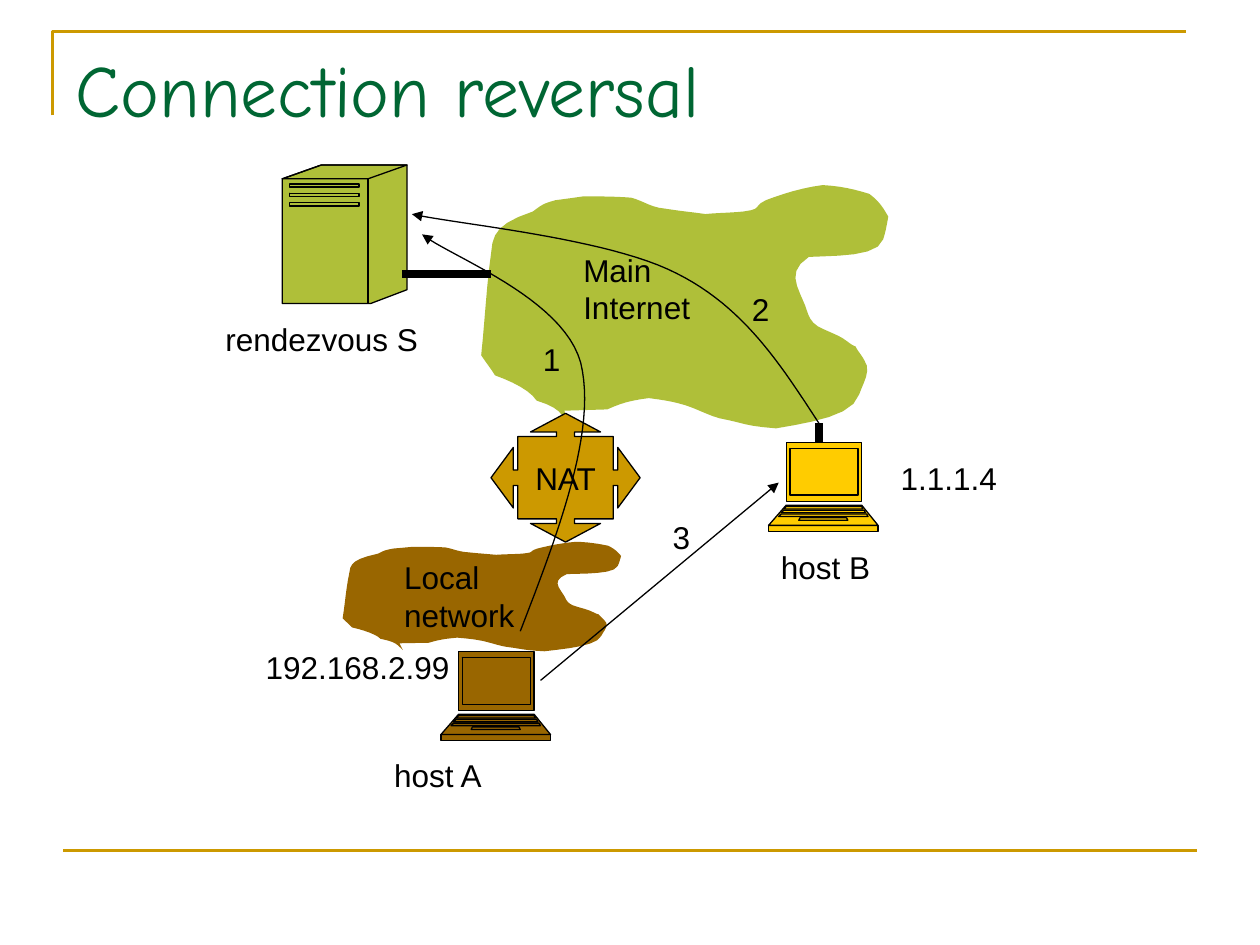
import pptx
import pptx.dml.color
import pptx.enum.shapes
import pptx.enum.text
import pptx.oxml
import pptx.oxml.ns
import pptx.util

Pt = pptx.util.Pt
RGBColor = pptx.dml.color.RGBColor
BLACK = RGBColor(0x00, 0x00, 0x00)
GOLD = RGBColor(0xCC, 0x99, 0x00)
GREEN = RGBColor(0x00, 0x66, 0x33)
OLIVE = RGBColor(0xAF, 0xBF, 0x39)
BROWN = RGBColor(0x99, 0x66, 0x00)
YELLOW = RGBColor(0xFF, 0xCC, 0x00)

CLOUD_GRID = (323, 193)
CLOUD = [
    (70, 191), (63, 181), (63, 177), (44, 171), (39, 163), (25, 156), (11, 151),
    (8, 146), (4, 141), (0, 135), (3, 108), (4, 81), (8, 53),
    (9, 38), (14, 30), (41, 21), (48, 16), (48, 15), (59, 12),
    (67, 11), (81, 9), (81, 9), (94, 9), (107, 9), (119, 10),
    (127, 12), (132, 16), (141, 18), (168, 22), (156, 20), (178, 23),
    (188, 22), (198, 22), (208, 21), (224, 19), (215, 17), (226, 12),
    (239, 7), (255, 2), (271, 0), (286, 1), (295, 3), (308, 7),
    (316, 13), (319, 18), (323, 25), (322, 31), (321, 37), (319, 43),
    (315, 57), (281, 56), (260, 57), (243, 68), (250, 79), (256, 93),
    (259, 99), (259, 107), (267, 112), (274, 116), (284, 119), (289, 123),
    (292, 125), (294, 127), (297, 128), (299, 132), (302, 135), (304, 139),
    (310, 147), (303, 157), (300, 166), (295, 183), (263, 188), (234, 193),
    (208, 191), (210, 189), (189, 185), (178, 182), (169, 176), (156, 173),
    (149, 171), (133, 169), (133, 169), (118, 171), (111, 173), (100, 178),
]
NAT_QUARTER = [(0, 1), (0.47, 0.71), (0.12, 0.71), (0.12, 0.64), (0.64, 0.64),
               (0.64, 0.12), (0.7, 0.12), (0.7, 0.47), (1, 0)]


def rect(left, top, right, bottom):
    """Return the corners of a rectangle."""
    return [(left, top), (right, top), (right, bottom), (left, bottom)]


def crease(corners):
    """Trace an outline forth and back, so that it encloses no area."""
    loop = corners + corners[:1]
    return loop + loop[-2::-1]


def bezier(points, steps=24):
    """Sample a chain of cubic curves."""
    curve = points[:1]
    for i in range(0, len(points) - 3, 3):
        a, b, c, d = points[i:i + 4]
        for n in range(1, steps + 1):
            t = n / steps
            weights = (1 - t) ** 3, 3 * t * (1 - t) ** 2, 3 * t * t * (1 - t), t ** 3
            curve.append(tuple(sum(w * q[k] for w, q in zip(weights, (a, b, c, d)))
                               for k in (0, 1)))
    return curve


def set_line(sp, color, width, arrow=False):
    """Format a line, with an arrowhead at its end if asked."""
    sp.line.color.rgb = color
    sp.line.width = Pt(width)
    if arrow:
        ln = sp.line._get_or_add_ln()
        tail = pptx.oxml.parse_xml(f'<a:tailEnd {pptx.oxml.ns.nsdecls("a")} type="triangle"/>')
        ln.append(tail)


def add_outline(s, box, grid, contours, fill=None, line=None, width=0.75, arrow=False):
    """Draw contours given on a grid that is stretched over the box."""
    left, top, w, h = box
    scaled = [[(Pt(left + x * w / grid[0]), Pt(top + y * h / grid[1])) for x, y in c]
              for c in contours]
    builder = s.shapes.build_freeform(*scaled[0][0])
    for i, contour in enumerate(scaled):
        if i:
            builder.move_to(*contour[0])
        builder.add_line_segments(contour[1:], close=fill is not None)
    sp = builder.convert_to_shape()
    sp.shadow.inherit = False
    if fill is None:
        sp.fill.background()
    else:
        sp.fill.solid()
        sp.fill.fore_color.rgb = fill
    if line is None:
        sp.line.fill.background()
    else:
        set_line(sp, line, width, arrow)
    return sp


def add_line(s, start, end, color=BLACK, width=0.75, arrow=False):
    """Draw a straight line."""
    line = s.shapes.add_connector(pptx.enum.shapes.MSO_CONNECTOR.STRAIGHT,
                                  *(Pt(v) for v in start + end))
    set_line(line, color, width, arrow)
    line._element.spPr.append(
        pptx.oxml.parse_xml(f'<a:effectLst {pptx.oxml.ns.nsdecls("a")}/>'))


def write(tf, text, size=18, font="Arial", color=BLACK, align="LEFT", anchor="TOP", wrap=False):
    """Fill a text frame, one paragraph for each line of text."""
    tf.word_wrap = wrap
    tf.vertical_anchor = pptx.enum.text.MSO_ANCHOR[anchor]
    for i, line in enumerate(text.split("\n")):
        p = tf.add_paragraph() if i else tf.paragraphs[0]
        p.alignment = pptx.enum.text.PP_ALIGN[align]
        r = p.add_run()
        r.text = line
        r.font.size = Pt(size)
        r.font.name = font
        r.font.color.rgb = color


def add_label(s, box, text):
    """Place a text label."""
    tf = s.shapes.add_textbox(*(Pt(v) for v in box)).text_frame
    write(tf, text)
    tf.auto_size = pptx.enum.text.MSO_AUTO_SIZE.SHAPE_TO_FIT_TEXT


def add_frame(s, box):
    """Draw the corner line above the title and the footer line."""
    left, top, w, h = box
    add_outline(s, (left, top, w, 48), (1, 1), [[(0, 1), (0, 0), (1, 0)]], line=GOLD, width=1.5)
    add_line(s, (left + 6, top + h), (left + w + 6, top + h), GOLD, 1.5)


def add_title(s, box, text):
    """Move and format the title placeholder."""
    title = s.shapes.title
    title.left, title.top, title.width, title.height = (Pt(v) for v in box)
    write(title.text_frame, text, size=42, font="Comic Neue", color=GREEN, wrap=True)
    title.text_frame.auto_size = pptx.enum.text.MSO_AUTO_SIZE.NONE


def add_cloud(s, box, color):
    """Draw a network cloud."""
    add_outline(s, box, CLOUD_GRID, [bezier(CLOUD, 6) + [(66, 179)]], color)


def add_nat(s, box):
    """Draw the NAT box with an arrow on each side."""
    right = [(x, -y) for x, y in NAT_QUARTER] + NAT_QUARTER[-2::-1]
    left = [(-x, y) for x, y in right[-2:0:-1]]
    ring = [(x + 1, y + 1) for x, y in right + left]
    sp = add_outline(s, box, (2, 2), [ring], GOLD, BLACK)
    write(sp.text_frame, "NAT", align="CENTER", anchor="MIDDLE")


def add_server(s, box):
    """Draw a server tower with three slots."""
    body = [(0, 11), (31, 0), (99, 0), (99, 99), (70, 110), (0, 110)]
    front = rect(0, 11, 68, 110)
    lid = [(0, 11), (31, 0), (99, 0), (68, 11)]
    slots = [rect(6, y, 61, y + 2.5) for y in (15, 22.5, 30)]
    add_outline(s, box, (99, 110), [body] + [crease(c) for c in [front, lid] + slots],
                OLIVE, BLACK)


def add_laptop(s, box, color):
    """Draw a laptop with its keyboard rows."""
    solids = [rect(14, 0, 74, 47), [(14, 50), (0, 66), (87, 66), (74, 50)], rect(0, 66, 87, 71)]
    rows = [[(14 - 2 * i, 51 + 3 * i), (12 - 2 * i, 53 + 3 * i),
             (75 + 2 * i, 53 + 3 * i), (74 + 2 * i, 51 + 3 * i)] for i in range(3)]
    touchpad = [(25, 60), (24, 62), (63, 62), (62, 60)]
    details = [rect(17, 5, 71, 42), touchpad] + rows
    add_outline(s, box, (87, 71), solids + [crease(c) for c in details], color, BLACK)


def add_route(s, box, grid, points):
    """Draw a curved arrow."""
    add_outline(s, box, grid, [bezier(points)], line=BLACK, arrow=True)


def main():
    """Build the slide."""
    prs = pptx.Presentation()
    prs.slide_width, prs.slide_height = Pt(720), Pt(540)
    s = prs.slides.add_slide(prs.slide_layouts[5])
    add_frame(s, (30, 18, 648, 468))
    add_cloud(s, (275, 105.8, 232.6, 139), OLIVE)
    add_title(s, (36, 21.6, 648, 90), "Connection reversal")
    add_nat(s, (280.6, 236.2, 85.2, 73.6))
    add_server(s, (161.3, 94.3, 71.3, 79.2))
    add_line(s, (229.7, 156.7), (280.8, 156.7), width=4.5)
    add_line(s, (468, 241.9), (468, 252.7), width=4.5)
    add_cloud(s, (195.8, 309.6, 159.1, 62.6), BROWN)
    add_laptop(s, (439.2, 252.7, 62.6, 51.1), YELLOW)
    add_laptop(s, (252, 372.2, 62.6, 51.1), BROWN)
    add_route(s, (235.4, 122.4, 232.6, 119.5), (323, 166),
              [(323, 166), (293, 120), (264, 74), (210, 47), (156, 19), (36, 8), (0, 0)])
    add_route(s, (241.2, 133.9, 91.4, 226.8), (127, 315),
              [(78, 315), (109, 235), (139, 155), (126, 102), (112, 50), (21, 17), (0, 0)])
    add_line(s, (308.9, 388.8), (445, 275.8), arrow=True)
    for left, top, w, h, text in [
        (326.2, 139.7, 79, 50.4, "Main\nInternet"),
        (223.9, 315.4, 81, 50.4, "Local\nnetwork"),
        (507.6, 258.5, 73, 28.8, "1.1.1.4"),
        (144.7, 366.5, 123, 28.8, "192.168.2.99"),
        (121.7, 179.3, 128, 28.8, "rendezvous S"),
        (218.2, 428.4, 69, 28.8, "host A"),
        (439.2, 309.6, 69, 28.8, "host B"),
        (303.1, 190.8, 27, 28.8, "1"),
        (422.6, 162, 27, 28.8, "2"),
        (377.3, 292.3, 27, 28.8, "3"),
    ]:
        add_label(s, (left, top, w, h), text)
    prs.save("out.pptx")


if __name__ == "__main__":
    main()
